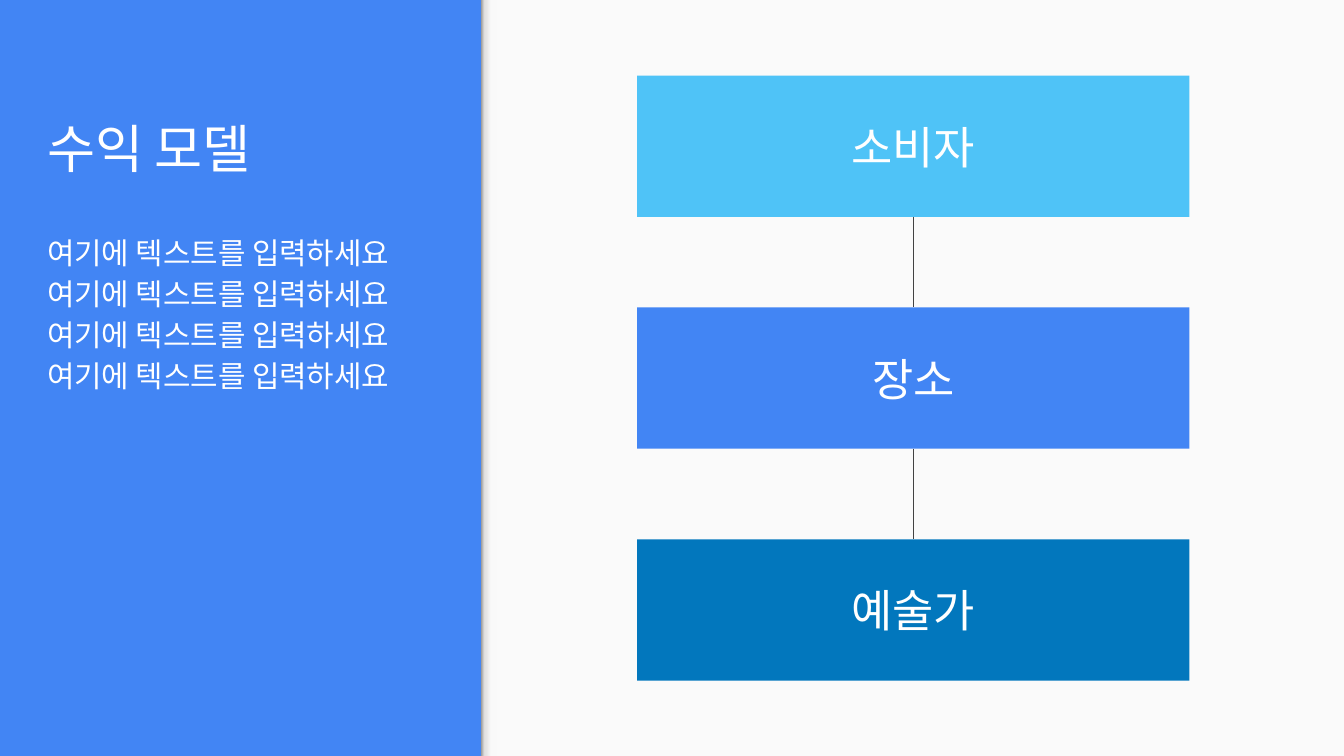
from dataclasses import dataclass

from lxml import etree
from pptx import Presentation
from pptx import util as u
from pptx.dml.color import RGBColor
from pptx.enum import shapes, text
from pptx.oxml import ns

SLIDE_W, SLIDE_H = u.Inches(10), u.Inches(5.625)
FONT = "Roboto"
COLORS = {
    "blue": "4285F4",
    "sky": "4FC3F7",
    "deep": "0277BD",
    "paper": "FAFAFA",
    "white": "FFFFFF",
    "line": "424242",
}
EDGE_SHADOW = [(0, "999999"), (20, "DEDEDE"), (64, "F9F9F9"), (100, "F9F9F9")]
PANEL_SHARE = 0.358
PROMPT = "여기에 텍스트를 입력하세요"


@dataclass
class Area:
    """A rectangle in shares of the slide's width and height."""
    x: float
    y: float
    w: float
    h: float

    def emu(self) -> tuple[int, int, int, int]:
        return (round(self.x * SLIDE_W), round(self.y * SLIDE_H),
                round(self.w * SLIDE_W), round(self.h * SLIDE_H))


@dataclass
class Stage:
    label: str
    color: str


STAGES = [Stage("소비자", "sky"), Stage("장소", "blue"), Stage("예술가", "deep")]
FIRST_STAGE = Area(0.474, 0.1, 0.411, 0.187)
STAGE_PITCH = 0.3067


def rgb(name: str) -> RGBColor:
    return RGBColor.from_string(COLORS[name])


def add_block(slide, area: Area, color: str):
    block = slide.shapes.add_shape(shapes.MSO_SHAPE.RECTANGLE, *area.emu())
    block.shadow.inherit = False
    block.fill.solid()
    block.fill.fore_color.rgb = rgb(color)
    block.line.fill.background()
    return block


def write(shape, wording: str, size: float, anchor, align):
    """Fill the shape with one white paragraph and return that paragraph."""
    frame = shape.text_frame
    frame.word_wrap = True
    frame.auto_size = text.MSO_AUTO_SIZE.NONE
    frame.vertical_anchor = anchor
    frame.margin_left = frame.margin_right = u.Inches(0.1)
    frame.margin_top = frame.margin_bottom = u.Inches(0.1)
    paragraph = frame.paragraphs[0]
    paragraph.alignment = align
    run = paragraph.add_run()
    run.text = wording
    run.font.size = u.Pt(size)
    run.font.name = FONT
    run.font.color.rgb = rgb("white")
    return paragraph


def place(shape, area: Area) -> None:
    shape.left, shape.top, shape.width, shape.height = area.emu()


def add_edge_shadow(slide) -> None:
    edge = add_block(slide, Area(PANEL_SHARE, 0, 0.012, 1), "paper")
    edge.fill.gradient()
    edge.fill.gradient_angle = 0
    stops = edge.fill._fill._gradFill.find(ns.qn("a:gsLst"))
    for stop in list(stops):
        stops.remove(stop)
    for percent, color in EDGE_SHADOW:
        stop = etree.SubElement(stops, ns.qn("a:gs"), pos=str(percent * 1000))
        etree.SubElement(stop, ns.qn("a:srgbClr"), val=color)


def link(slide, upper, lower) -> None:
    connector = slide.shapes.add_connector(shapes.MSO_CONNECTOR.STRAIGHT, 0, 0, 0, 0)
    connector.begin_connect(upper, 2)
    connector.end_connect(lower, 0)
    connector.line.color.rgb = rgb("line")
    connector.line.width = u.Pt(0.75)
    etree.SubElement(connector._element.spPr, ns.qn("a:effectLst"))


def add_side_text(slide) -> None:
    title, body = slide.placeholders
    place(title, Area(0.025, 0.07, 0.307, 0.185))
    write(title, "수익 모델", 28, text.MSO_ANCHOR.BOTTOM, text.PP_ALIGN.LEFT)

    place(body, Area(0.025, 0.285, 0.307, 0.615))
    prompts = write(body, " ".join([PROMPT] * 4), 16,
                    text.MSO_ANCHOR.TOP, text.PP_ALIGN.LEFT)
    prompts.line_spacing = 1.15
    prompts.space_before = u.Pt(0)
    prompts.space_after = u.Pt(16)
    properties = prompts._p.get_or_add_pPr()
    properties.set("marL", "0")
    properties.set("indent", "0")
    etree.SubElement(properties, ns.qn("a:buNone"))


def add_stages(slide) -> None:
    blocks = []
    for row, stage in enumerate(STAGES):
        area = Area(FIRST_STAGE.x, FIRST_STAGE.y + row * STAGE_PITCH,
                    FIRST_STAGE.w, FIRST_STAGE.h)
        block = add_block(slide, area, stage.color)
        write(block, stage.label, 24, text.MSO_ANCHOR.MIDDLE, text.PP_ALIGN.CENTER)
        blocks.append(block)
    for upper, lower in zip(blocks, blocks[1:]):
        link(slide, upper, lower)


def main() -> None:
    deck = Presentation()
    deck.slide_width, deck.slide_height = SLIDE_W, SLIDE_H
    slide = deck.slides.add_slide(deck.slide_layouts[1])
    slide.background.fill.solid()
    slide.background.fill.fore_color.rgb = rgb("blue")
    add_block(slide, Area(PANEL_SHARE, 0, 1 - PANEL_SHARE, 1), "paper")
    add_edge_shadow(slide)
    add_side_text(slide)
    add_stages(slide)
    deck.save("out.pptx")


if __name__ == "__main__":
    main()
